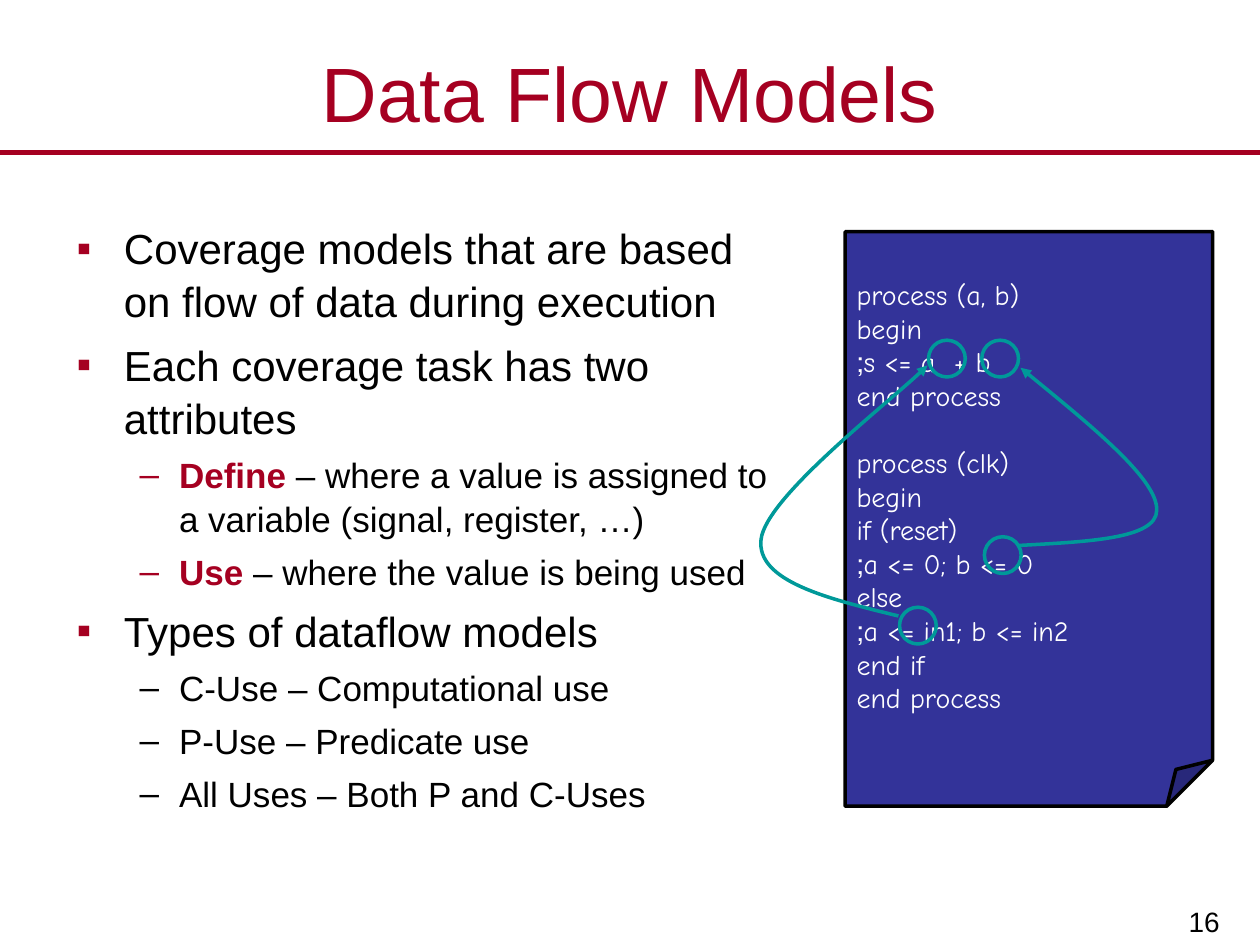
from lxml import etree
from pptx import Presentation
from pptx.dml.color import RGBColor
from pptx.enum.shapes import MSO_CONNECTOR, MSO_SHAPE
from pptx.enum.text import MSO_ANCHOR, PP_ALIGN
from pptx.oxml.ns import qn
from pptx.util import Pt

COLORS = {"red": "A50021", "black": "000000", "white": "FFFFFF",
          "navy": "333399", "teal": "009999"}


def color(name):
    return RGBColor.from_string(COLORS[name])


class Page:
    """The current slide with its fonts and drawing methods."""
    text_font = "Arial"
    code_font = "Comic Neue"

    def __init__(self, deck):
        self.slide = deck.slides.add_slide(deck.slide_layouts[6])
        self.shapes = self.slide.shapes

    def span(self, para, text, size, ink, font=None, bold=False):
        span = para.add_run()
        span.text = text
        values = {"name": font or self.text_font, "size": Pt(size), "bold": bold}
        for key, value in values.items():
            setattr(span.font, key, value)
        span.font.color.rgb = color(ink)

    def frame(self, box, anchor, margins=(7.2, 3.6)):
        side, edge = map(Pt, margins)
        values = {"word_wrap": True, "vertical_anchor": anchor,
                  "margin_left": side, "margin_right": side,
                  "margin_top": edge, "margin_bottom": edge}
        for key, value in values.items():
            setattr(box.text_frame, key, value)
        return box.text_frame

    def text(self, place, anchor, margins=(7.2, 3.6)):
        return self.frame(self.shapes.add_textbox(*map(Pt, place)), anchor, margins)

    def label(self, place, text, size, ink, align, anchor, margins=(7.2, 3.6)):
        para = self.text(place, anchor, margins).paragraphs[0]
        para.alignment = align
        self.span(para, text, size, ink)

    def bullet(self, para, mark, ink, left, hang):
        props = para._p.get_or_add_pPr()
        props.set("marL", str(Pt(left)))
        props.set("indent", str(-Pt(hang)))
        fill = etree.SubElement(props, qn("a:buClr"))
        etree.SubElement(fill, qn("a:srgbClr"), val=COLORS[ink])
        etree.SubElement(props, qn("a:buFont"), typeface=self.text_font)
        etree.SubElement(props, qn("a:buChar"), char=mark)

    def bullets(self, place, items):
        frame = self.text(place, MSO_ANCHOR.TOP)
        for index, (level, ink, term, rest) in enumerate(items):
            para = frame.paragraphs[0] if index == 0 else frame.add_paragraph()
            mark, left, hang, size, gap = LEVELS[level]
            self.bullet(para, mark, ink, left, hang)
            para.level = level
            para.line_spacing = 1.05
            if index:
                para.space_before = Pt(gap)
            if term:
                self.span(para, term, size, "red", bold=True)
            self.span(para, rest, size, "black")

    def outline(self, shape, ink, width=2, fill=None):
        shape.shadow.inherit = False
        if fill:
            shape.fill.solid()
            shape.fill.fore_color.rgb = color(fill)
        else:
            shape.fill.background()
        shape.line.color.rgb = color(ink)
        shape.line.width = Pt(width)

    def code_sheet(self, place, blocks, size=16):
        sheet = self.shapes.add_shape(MSO_SHAPE.FOLDED_CORNER, *map(Pt, place))
        guides = next(sheet._element.iter(qn("a:avLst")))
        etree.SubElement(guides, qn("a:gd"), name="adj", fmla="val 12500")
        self.outline(sheet, "black", fill="navy")
        frame = self.frame(sheet, MSO_ANCHOR.MIDDLE, (6.5, 3))
        for block_index, block in enumerate(blocks):
            for line_index, line in enumerate(block):
                first = block_index == line_index == 0
                para = frame.paragraphs[0] if first else frame.add_paragraph()
                para.alignment = PP_ALIGN.LEFT
                para._p.get_or_add_pPr().set("rtl", "1")
                if block_index and line_index == 0:
                    para.space_before = Pt(19.2)
                self.span(para, line, size, "white", self.code_font)

    def ring(self, left, top, size=21):
        ring = self.shapes.add_shape(MSO_SHAPE.OVAL, *map(Pt, (left, top, size, size)))
        self.outline(ring, "teal")

    def curve(self, start, *points):
        """Draw a Bezier arrow; every three points make one segment."""
        builder = self.shapes.build_freeform(*map(Pt, start), scale=1.0)
        builder.add_line_segments([tuple(map(Pt, point)) for point in points], close=False)
        arrow = builder.convert_to_shape()
        self.outline(arrow, "teal")
        outline = next(arrow._element.iter(qn("a:path")))
        steps = outline.findall(qn("a:lnTo"))
        for first in range(0, len(steps), 3):
            segment = etree.SubElement(outline, qn("a:cubicBezTo"))
            for step in steps[first:first + 3]:
                segment.append(step[0])
                outline.remove(step)
        line = arrow._element.spPr.find(qn("a:ln"))
        etree.SubElement(line, qn("a:tailEnd"), type="triangle")

    def rule(self, start, end, ink, width):
        rule = self.shapes.add_connector(MSO_CONNECTOR.STRAIGHT, *map(Pt, start + end))
        rule.line.color.rgb = color(ink)
        rule.line.width = Pt(width)
        etree.SubElement(rule._element.spPr, qn("a:effectLst"))


# Bullet mark, left indent, hanging indent, text size, space before
LEVELS = [("▪", 27, 27, 24, 6), ("–", 58.5, 22.5, 20, 5)]

# Level, bullet colour, highlighted term, remaining text
POINTS = [
    (0, "red", "", "Coverage models that are based on flow of data during execution"),
    (0, "red", "", "Each coverage task has two attributes"),
    (1, "red", "Define", " – where a value is assigned to a variable (signal, register, …)"),
    (1, "red", "Use ", "– where the value is being used"),
    (0, "red", "", "Types of dataflow models"),
    (1, "black", "", "C-Use – Computational use"),
    (1, "black", "", "P-Use – Predicate use"),
    (1, "black", "", "All Uses – Both P and C-Uses"),
]

PROCESSES = [
    ["process (a, b)", "begin", "   s <= a  + b;", "end process"],
    ["process (clk)", "begin", "   if (reset)", "      a <= 0; b <= 0;", "   else",
     "      a <= in1; b <= in2;", "   end if", "end process"],
]


def main():
    deck = Presentation()
    deck.slide_width, deck.slide_height = Pt(720), Pt(540)
    page = Page(deck)

    # Heading and page number
    page.rule((0, 87), (720, 87), "red", 3)
    page.label((561.6, 499, 143.3, 41), "16", 16, "black",
               PP_ALIGN.RIGHT, MSO_ANCHOR.BOTTOM, (8, 4))
    page.label((0, 21.6, 720, 62), "Data Flow Models", 44, "red",
               PP_ALIGN.CENTER, MSO_ANCHOR.MIDDLE)

    # Explanation and code
    page.bullets((36.7, 122.4, 409.7, 370), POINTS)
    page.code_sheet((483, 132.4, 210, 328.3), PROCESSES)

    # Definitions and uses of the variables
    for left, top in [(514, 347), (562.5, 306.7), (530.6, 194.4), (561, 194.4)]:
        page.ring(left, top)

    # Arrows from definition to use
    page.curve((513.4, 352), (472.3, 342), (432, 332), (434.9, 308.2),
               (437.8, 284.4), (514, 225.4), (530, 208.8))
    page.curve((581, 311.8), (620.6, 309.6), (661, 308.2), (661, 291.6),
               (661.7, 274.3), (622, 242), (583.2, 210.2))

    deck.save("out.pptx")


if __name__ == "__main__":
    main()
